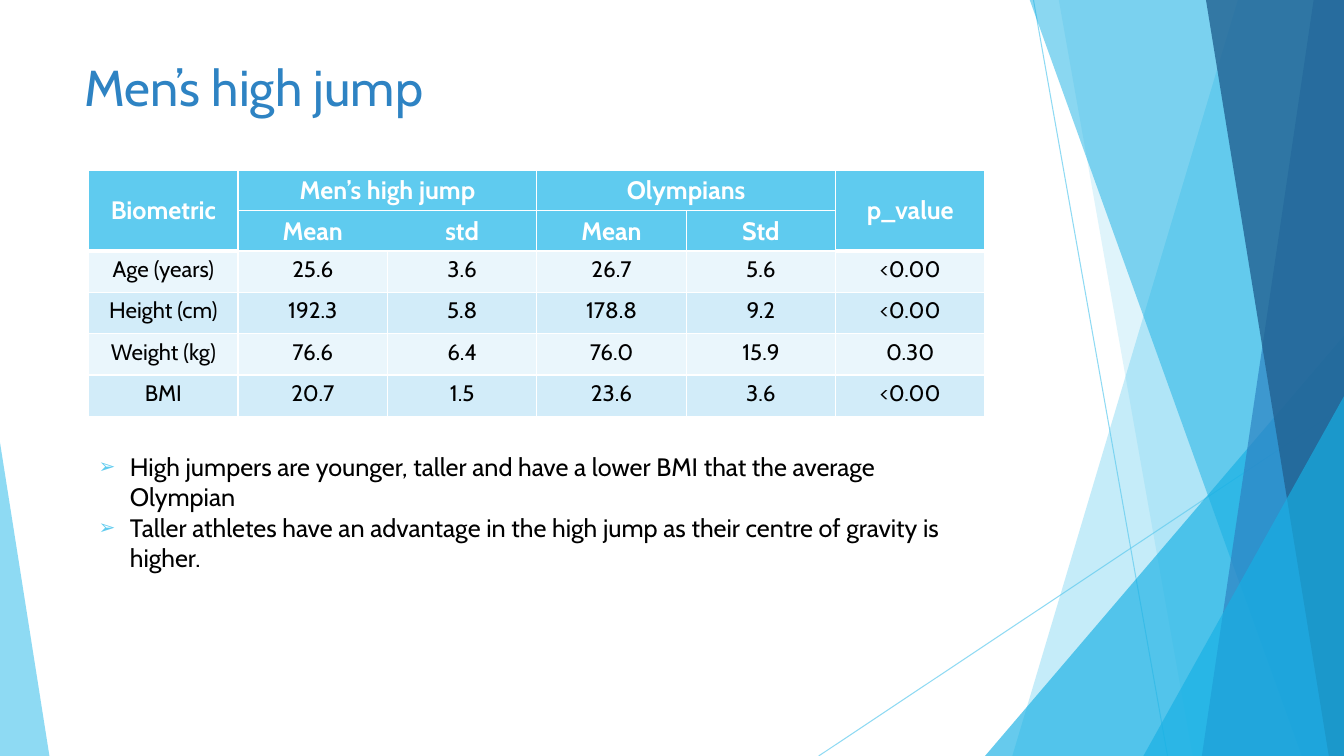
from lxml import etree
from pptx import Presentation
from pptx.dml.color import RGBColor
from pptx.enum.shapes import MSO_CONNECTOR, MSO_SHAPE
from pptx.enum.text import MSO_ANCHOR, MSO_AUTO_SIZE, PP_ALIGN
from pptx.oxml.ns import qn
from pptx.util import Inches, Pt

STRAIGHT = MSO_CONNECTOR.STRAIGHT
TRIANGLE = MSO_SHAPE.ISOSCELES_TRIANGLE
TOP, MIDDLE = MSO_ANCHOR.TOP, MSO_ANCHOR.MIDDLE
CENTER = PP_ALIGN.CENTER
GROW = MSO_AUTO_SIZE.SHAPE_TO_FIT_TEXT

FONT = "Cabin"
SKY, CYAN, BLUE, NAVY = "5FCBEF", "17B0E4", "2E83C3", "226292"
WHITE, BLACK = "FFFFFF", "000000"
BANDS = ("EAF6FC", "D2ECF9")
WIDTH, HEIGHT = 13.33, 7.5
PANEL_TOP = -0.01

# top-left x, bottom-left x, colour, opacity in percent
BACK_PANELS = [(12.28, 10.04, SKY, 36), (10.5, 11.83, SKY, 20)]
FRONT_PANELS = [(10.21, 12.91, CYAN, 50), (13.03, 11.92, BLUE, 70),
                (11.96, 13.18, NAVY, 80)]

HEADERS = [
    ["Biometric", "Men’s high jump", "", "Olympians", "", "p_value"],
    ["", "Mean", "std", "Mean", "Std", ""],
]
BIOMETRICS = [
    ["Age (years)", "25.6", "3.6", "26.7", "5.6", "<0.00"],
    ["Height (cm)", "192.3", "5.8", "178.8", "9.2", "<0.00"],
    ["Weight (kg)", "76.6", "6.4", "76.0", "15.9", "0.30"],
    ["BMI", "20.7", "1.5", "23.6", "3.6", "<0.00"],
]
MERGES = [((0, 0), (1, 0)), ((0, 1), (0, 2)), ((0, 3), (0, 4)), ((0, 5), (1, 5))]
FINDINGS = [
    "High jumpers are younger, taller and have a lower BMI that the average Olympian",
    "Taller athletes have an advantage in the high jump as their centre of gravity is higher.",
]


def rgb(color):
    return RGBColor.from_string(color)


def set_opacity(container, percent):
    color = next(container.iter(qn("a:srgbClr")))
    etree.SubElement(color, qn("a:alpha"), val=str(percent * 1000))


class SlideBuilder:
    def __init__(self, slide):
        self.slide = slide
        self.shapes = slide.shapes

    def run(self, paragraph, text, size, color, bold=False):
        run = paragraph.add_run()
        run.text = text
        run.font.name = FONT
        run.font.size = Pt(size)
        run.font.bold = bold
        run.font.color.rgb = rgb(color)

    def hairline(self, start, end):
        line = self.shapes.add_connector(STRAIGHT, *map(Inches, start + end))
        line.line.color.rgb = rgb(SKY)
        line.line.width = Pt(0.75)
        properties = line._element.spPr
        set_opacity(properties, 70)
        etree.SubElement(properties, qn("a:effectLst"))

    def paint(self, shape, color, opacity):
        shape.shadow.inherit = False
        shape.fill.solid()
        shape.fill.fore_color.rgb = rgb(color)
        shape.line.fill.background()
        set_opacity(shape._element.spPr, opacity)

    def panel(self, top_x, bottom_x, color, opacity):
        """Draw a slanted panel that reaches the right edge of the slide."""
        corners = [(WIDTH, PANEL_TOP), (WIDTH, HEIGHT), (bottom_x, HEIGHT)]
        outline = self.shapes.build_freeform(Inches(top_x), Inches(PANEL_TOP))
        outline.add_line_segments([(Inches(x), Inches(y)) for x, y in corners])
        self.paint(outline.convert_to_shape(), color, opacity)

    def triangle(self, box, apex, color, opacity):
        shape = self.shapes.add_shape(TRIANGLE, *map(Inches, box))
        shape.adjustments[0] = apex
        self.paint(shape, color, opacity)

    def text_frame(self, box):
        frame = self.shapes.add_textbox(*map(Inches, box)).text_frame
        frame.word_wrap = True
        frame.vertical_anchor = TOP
        return frame

    def title(self, box, text):
        self.run(self.text_frame(box).paragraphs[0], text, 36, BLUE)

    def bullets(self, box, items):
        frame = self.text_frame(box)
        frame.auto_size = GROW
        for index, item in enumerate(items):
            paragraph = frame.add_paragraph() if index else frame.paragraphs[0]
            properties = paragraph._p.get_or_add_pPr()
            indent = Inches(0.31)
            properties.set("marL", str(indent))
            properties.set("indent", str(-indent))
            bullet_color = etree.SubElement(properties, qn("a:buClr"))
            etree.SubElement(bullet_color, qn("a:srgbClr"), val=SKY)
            etree.SubElement(properties, qn("a:buSzPct"), val="80000")
            etree.SubElement(properties, qn("a:buFont"), typeface=FONT)
            etree.SubElement(properties, qn("a:buChar"), char="➢")
            self.run(paragraph, item, 18, BLACK)

    def borders(self, cell, bottom=1, hidden=""):
        """Give a cell white borders, leaving out the sides named in hidden."""
        properties = cell._tc.get_or_add_tcPr()
        for position, side in enumerate("LRTB"):
            points = bottom if side == "B" else 1
            line = etree.Element(qn(f"a:ln{side}"), w=str(Pt(points)))
            if side in hidden:
                etree.SubElement(line, qn("a:noFill"))
            else:
                fill = etree.SubElement(line, qn("a:solidFill"))
                etree.SubElement(fill, qn("a:srgbClr"), val=WHITE)
            properties.insert(position, line)

    def table(self, box, headers, body, merges):
        rows = headers + body
        last = len(rows[0]) - 1
        table = self.shapes.add_table(len(rows), last + 1, *map(Inches, box)).table
        table.first_row = table.horz_banding = False
        for column in table.columns:
            column.width = Inches(box[2] / (last + 1))
        for r, values in enumerate(rows):
            is_header = r < len(headers)
            table.rows[r].height = Inches(0.4 if is_header else 0.41)
            for c, text in enumerate(values):
                cell = table.cell(r, c)
                tall = is_header and c in (0, last)
                cell.fill.solid()
                cell.fill.fore_color.rgb = rgb(SKY if is_header else BANDS[r % 2])
                cell.vertical_anchor = MIDDLE if tall else TOP
                self.borders(cell, 3 if tall else 1,
                             {(1, 1): "R", (1, 2): "L"}.get((r, c), ""))
                paragraph = cell.text_frame.paragraphs[0]
                paragraph.alignment = CENTER
                if text:
                    self.run(paragraph, text, 18 if is_header else 16,
                             WHITE if is_header else BLACK, is_header)
        for first, final in merges:
            table.cell(*first).merge(table.cell(*final))


def main():
    deck = Presentation()
    deck.slide_width, deck.slide_height = Inches(WIDTH), Inches(HEIGHT)
    builder = SlideBuilder(deck.slides.add_slide(deck.slide_layouts[6]))

    builder.hairline((10.25, 0), (11.58, HEIGHT))
    builder.hairline((WIDTH, 4.03), (8.12, HEIGHT))
    for panel in BACK_PANELS:
        builder.panel(*panel)
    builder.triangle((9.77, 3.33, 3.56, 4.17), 1, CYAN, 66)
    for panel in FRONT_PANELS:
        builder.panel(*panel)
    builder.triangle((11.34, 3.93, 1.99, 3.57), 1, CYAN, 66)
    builder.triangle((0, 4.39, 0.49, 3.11), 0, SKY, 70)

    builder.title((0.74, 0.51, 9.4, 1.44), "Men’s high jump")
    builder.table((0.88, 1.69, 8.89, 2.44), HEADERS, BIOMETRICS, MERGES)
    builder.bullets((0.88, 4.43, 8.89, 1.62), FINDINGS)
    deck.save("out.pptx")


if __name__ == "__main__":
    main()
